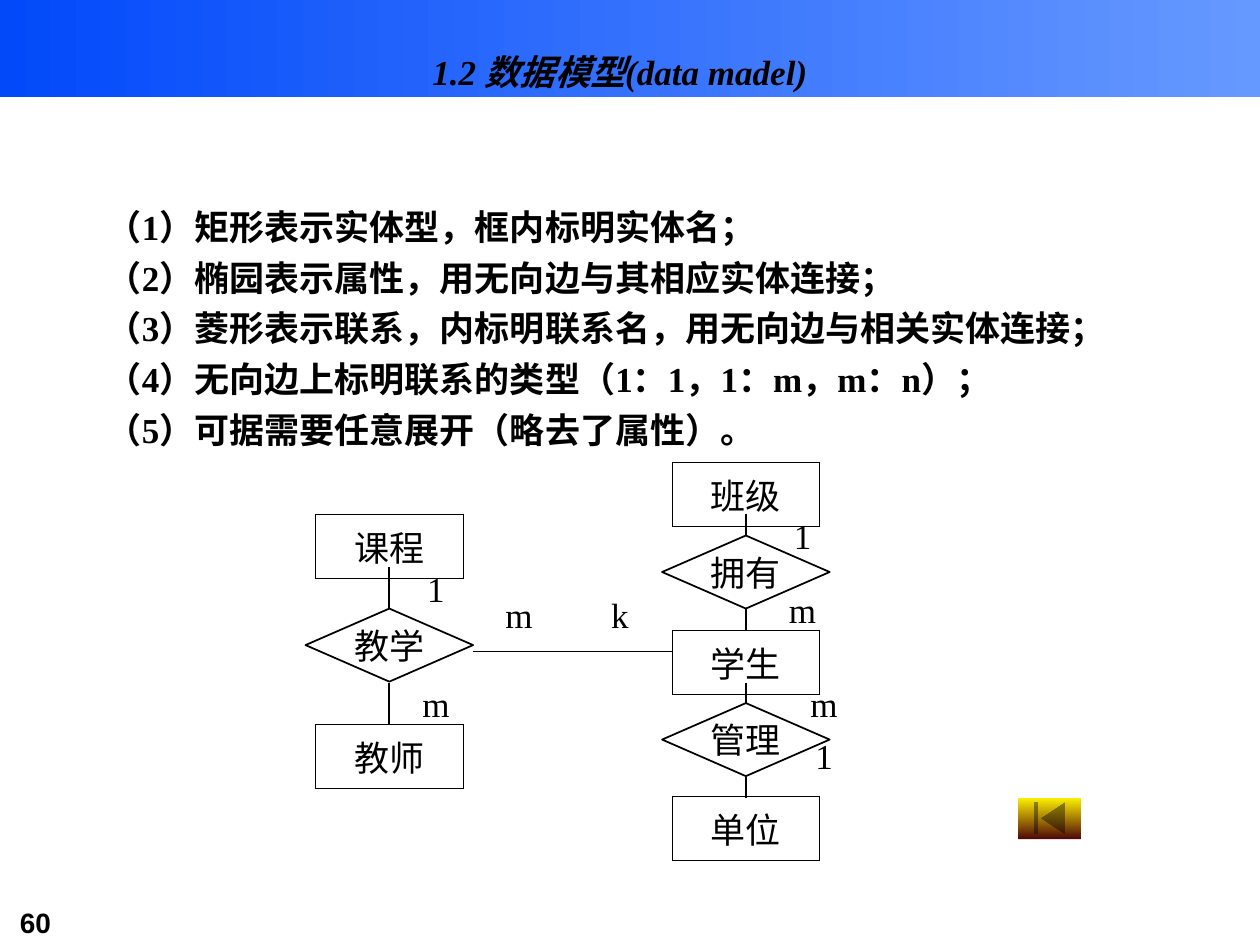
import pptx
import pptx.util
import pptx.oxml
import pptx.oxml.ns
from pptx.dml.color import RGBColor
from pptx.enum.shapes import MSO_CONNECTOR, MSO_SHAPE
from pptx.enum.text import MSO_ANCHOR, PP_ALIGN

Inches, Pt = pptx.util.Inches, pptx.util.Pt

COLORS = {
    "ink": "000000",
    "banner_left": "0249FA",
    "banner_right": "6699FF",
    "button_top": "FFF200",
    "button_bottom": "4D0808",
}
SERIF, SANS = "Times New Roman", "Arial"

TITLE = "1.2 数据模型(data madel)"
PAGE_NUMBER = "60"
RULES = [
    "（1）矩形表示实体型，框内标明实体名；",
    "（2）椭园表示属性，用无向边与其相应实体连接；",
    "（3）菱形表示联系，内标明联系名，用无向边与相关实体连接；",
    "（4）无向边上标明联系的类型（1：1，1：m，m：n）；",
    "（5）可据需要任意展开（略去了属性）。",
]

# Diagram: centre x of each column, then (name, centre x, top)
COURSE_X, STUDENT_X = 3.09, 5.92
ENTITY_SIZE = (1.17, 0.51)
RELATION_SIZE = (1.33, 0.58)
ENTITIES = [
    ("课程", COURSE_X, 4.08),
    ("教师", COURSE_X, 5.75),
    ("班级", STUDENT_X, 3.67),
    ("学生", STUDENT_X, 5.0),
    ("单位", STUDENT_X, 6.32),
]
RELATIONS = [
    ("教学", COURSE_X, 4.83),
    ("拥有", STUDENT_X, 4.25),
    ("管理", STUDENT_X, 5.58),
]
EDGES = [
    (COURSE_X, 4.5, COURSE_X, 4.83),
    (COURSE_X, 5.42, COURSE_X, 5.75),
    (3.75, 5.17, 5.33, 5.17),
    (STUDENT_X, 4.08, STUDENT_X, 4.25),
    (STUDENT_X, 4.83, STUDENT_X, 5.0),
    (STUDENT_X, 5.42, STUDENT_X, 5.58),
    (STUDENT_X, 6.17, STUDENT_X, 6.33),
]
# Cardinality, centre x, centre y
CARDINALITY_SIZE = (0.75, 0.33)
CARDINALITIES = [
    ("1", 3.46, 4.67),
    ("m", 3.46, 5.58),
    ("m", 4.12, 4.88),
    ("k", 4.92, 4.88),
    ("1", 6.37, 4.25),
    ("m", 6.37, 4.84),
    ("m", 6.54, 5.58),
    ("1", 6.54, 6.0),
]


def rgb(name):
    return RGBColor.from_string(COLORS[name])


def write(frame, lines, align=PP_ALIGN.CENTER, anchor=MSO_ANCHOR.MIDDLE,
          wrap=True, size=20, font=SERIF, bold=False, italic=False):
    frame.word_wrap = wrap
    frame.vertical_anchor = anchor
    for i, line in enumerate(lines):
        paragraph = frame.paragraphs[0] if i == 0 else frame.add_paragraph()
        paragraph.alignment = align
        if i > 0:
            paragraph.space_before = Pt(5)
        run = paragraph.add_run()
        run.text = line
        run.font.size = Pt(size)
        run.font.name = font
        run.font.bold = bold
        run.font.italic = italic
        run.font.color.rgb = rgb("ink")


def add_text(slide, box, lines, **style):
    textbox = slide.shapes.add_textbox(*map(Inches, box))
    write(textbox.text_frame, lines, **style)


def add_gradient_shape(slide, preset, box, start, end, angle):
    shape = slide.shapes.add_shape(preset, *map(Inches, box))
    shape.shadow.inherit = False
    shape.line.fill.background()
    shape.fill.gradient()
    shape.fill.gradient_angle = angle
    for stop, color, position in zip(shape.fill.gradient_stops, (start, end), (0, 1)):
        stop.color.rgb = rgb(color)
        stop.position = position


def add_entity(slide, name, center, top):
    width, height = ENTITY_SIZE
    table = slide.shapes.add_table(
        1, 1, Inches(center - width / 2), Inches(top), Inches(width), Inches(height)).table
    table.first_row = table.horz_banding = False
    cell = table.cell(0, 0)
    cell.fill.background()
    write(cell.text_frame, [name])
    cell.vertical_anchor = MSO_ANCHOR.TOP
    properties = cell._tc.get_or_add_tcPr()
    for i, side in enumerate(("lnL", "lnR", "lnT", "lnB")):
        properties.insert(i, pptx.oxml.parse_xml(
            f'<a:{side} {pptx.oxml.ns.nsdecls("a")} w="{Pt(0.45)}"><a:solidFill>'
            f'<a:srgbClr val="{COLORS["ink"]}"/></a:solidFill></a:{side}>'))


def add_relation(slide, name, center, top):
    width, height = RELATION_SIZE
    diamond = slide.shapes.add_shape(
        MSO_SHAPE.FLOWCHART_DECISION, Inches(center - width / 2), Inches(top),
        Inches(width), Inches(height))
    diamond.shadow.inherit = False
    diamond.fill.background()
    diamond.line.color.rgb = rgb("ink")
    diamond.line.width = Pt(1)
    write(diamond.text_frame, [name], wrap=False)


def add_edge(slide, ends):
    edge = slide.shapes.add_connector(MSO_CONNECTOR.STRAIGHT, *map(Inches, ends))
    edge.line.color.rgb = rgb("ink")
    edge.line.width = Pt(1)
    edge._element.spPr.append(
        pptx.oxml.parse_xml(f'<a:effectLst {pptx.oxml.ns.nsdecls("a")}/>'))


def main():
    deck = pptx.Presentation()
    deck.slide_width, deck.slide_height = Inches(10), Inches(7.5)
    slide = deck.slides.add_slide(deck.slide_layouts[6])

    # Banner, page number, title and rules
    add_gradient_shape(slide, MSO_SHAPE.RECTANGLE, (0, 0, 10, 0.77),
                       "banner_left", "banner_right", 0)
    add_text(slide, (0.06, 7.14, 1.22, 0.37), [PAGE_NUMBER], align=PP_ALIGN.LEFT,
             anchor=MSO_ANCHOR.TOP, size=16, font=SANS, bold=True)
    add_text(slide, (0.67, 0.25, 8.5, 0.63), [TITLE], bold=True, italic=True)
    add_text(slide, (0.75, 1.58, 8.5, 5.08), RULES, align=PP_ALIGN.JUSTIFY,
             anchor=MSO_ANCHOR.TOP, bold=True)

    # Entity-relationship diagram
    for entity in ENTITIES:
        add_entity(slide, *entity)
    for relation in RELATIONS:
        add_relation(slide, *relation)
    for ends in EDGES:
        add_edge(slide, ends)
    width, height = CARDINALITY_SIZE
    for label, x, y in CARDINALITIES:
        add_text(slide, (x - width / 2, y - height / 2, width, height), [label], wrap=False)

    # Back-to-start button
    add_gradient_shape(slide, MSO_SHAPE.ACTION_BUTTON_BEGINNING, (8.08, 6.33, 0.5, 0.33),
                       "button_top", "button_bottom", 270)

    deck.save("out.pptx")


if __name__ == "__main__":
    main()
